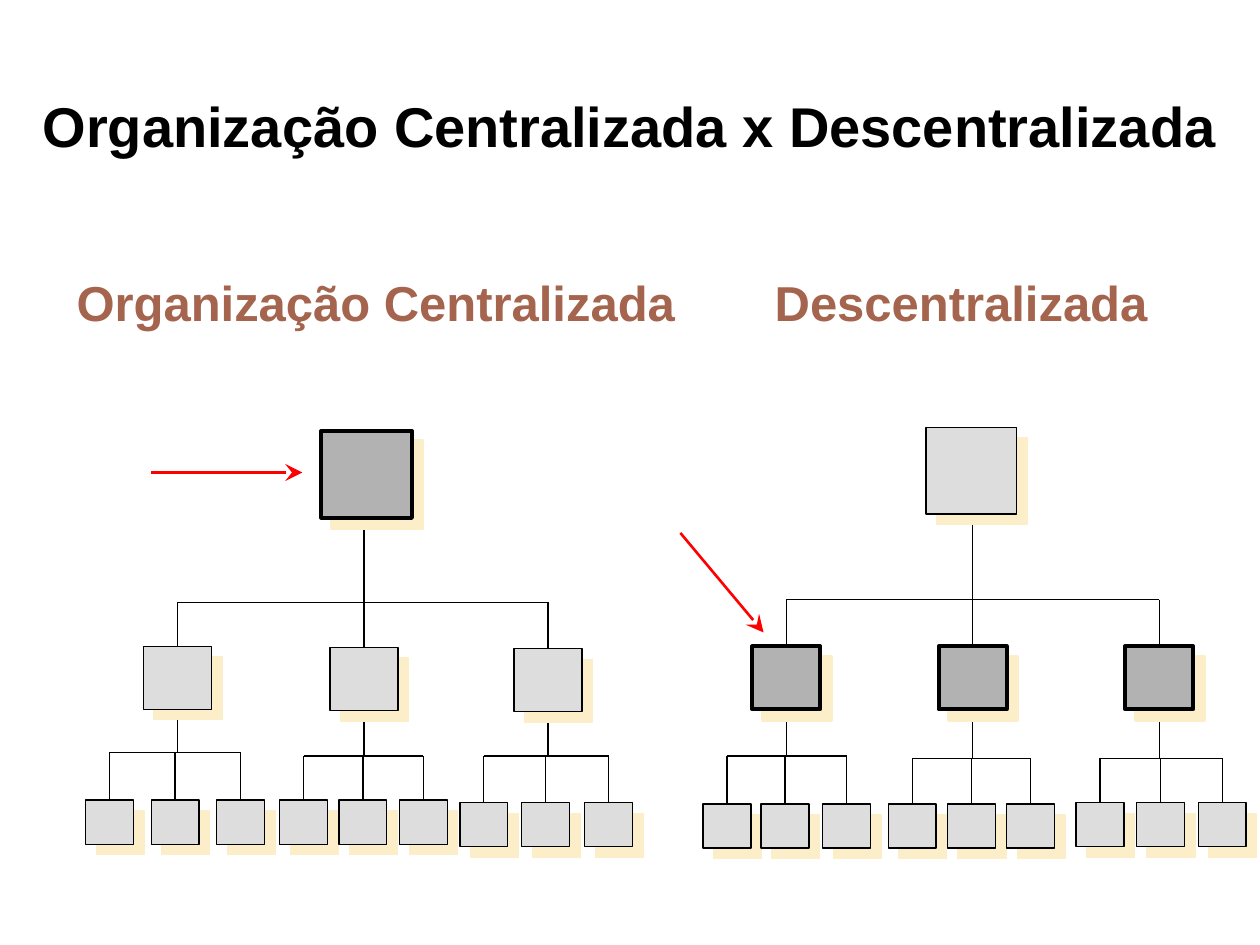
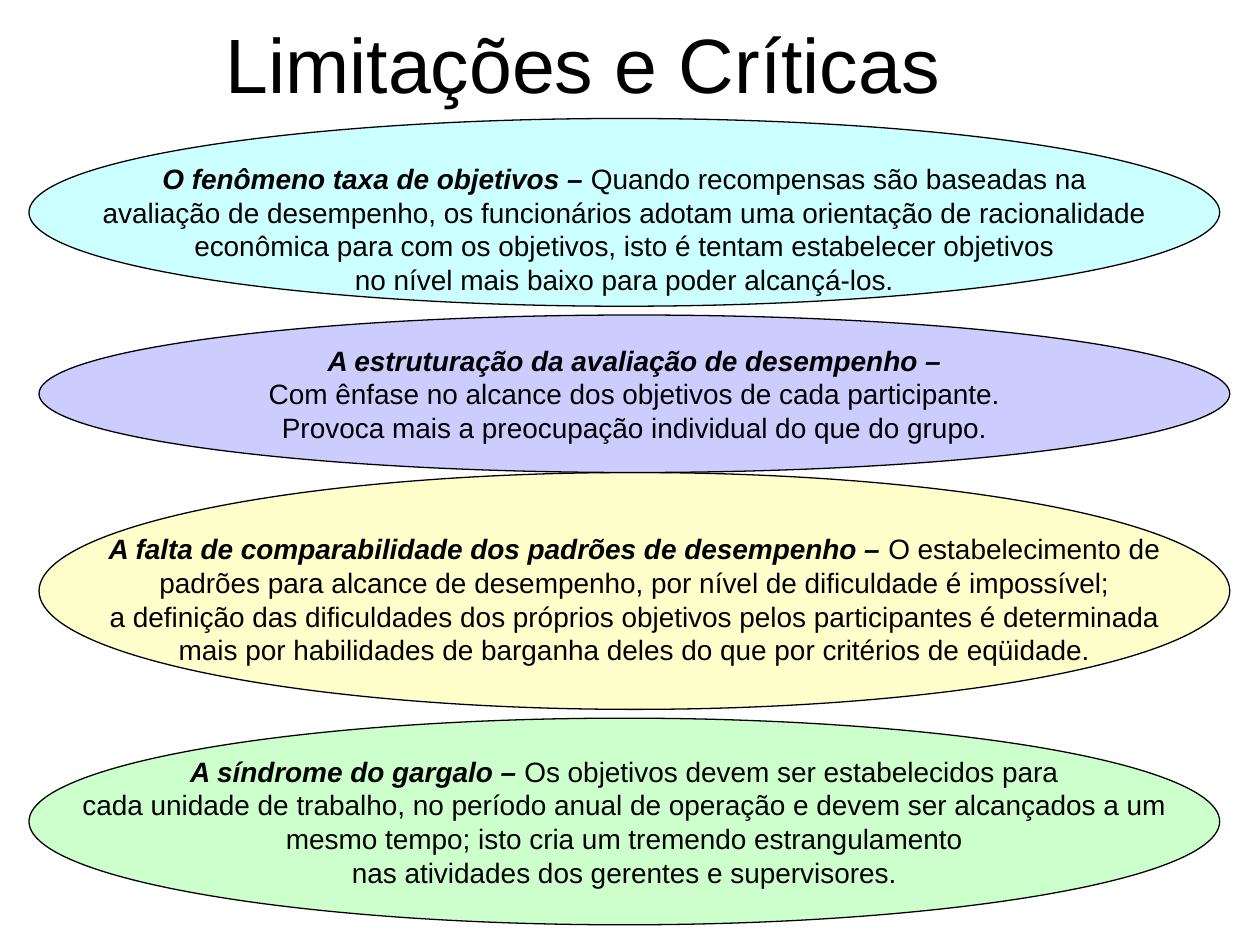
import pptx
import pptx.dml.color
import pptx.enum.shapes
import pptx.enum.text
import pptx.oxml
import pptx.oxml.ns
import pptx.util

COLUMNS, ROWS = 100, 75
BLACK, BROWN, RED = "000000", "A5644E", "FF0000"
LIGHT_GREY, DARK_GREY, CREAM = "DDDDDD", "B2B2B2", "FBEEC9"
ROOT_SIZE, NODE_SIZE, LEAF_SIZE = (7.2, 6.9), (5.4, 5), (3.8, 3.5)
SHADOW_DISTANCE = pptx.util.Pt(8.5)

# Each family: manager left and top, bar row, subordinate top, subordinate lefts.
CENTRALIZED = [
    ((11.4, 51.3), 59.7, 63.5, (6.8, 12, 17.2)),
    ((26.2, 51.4), 60, 63.5, (22.2, 26.9, 31.7)),
    ((40.8, 51.5), 60, 63.7, (36.5, 41.4, 46.4)),
]
DECENTRALIZED = [
    ((59.7, 51.3), 60, 63.8, (55.8, 60.4, 65.3)),
    ((74.5, 51.3), 60.2, 63.8, (70.5, 75.2, 79.9)),
    ((89.3, 51.3), 60.2, 63.7, (85.4, 90.2, 95.1)),
]

# Each critique: left, top, height, extra top inset, fill, lead, lines.
CRITIQUES = [
    (2.3, 9.4, 14.9, 2.6, "CCFFFF", "O fenômeno taxa de objetivos –", [
        " Quando recompensas são baseadas na",
        "avaliação de desempenho, os funcionários adotam uma orientação de racionalidade",
        "econômica para com os objetivos, isto é tentam estabelecer objetivos",
        "no nível mais baixo para poder alcançá-los."]),
    (2.3, 57, 16.4, 0, "CCFFCC", "A síndrome do gargalo –", [
        " Os objetivos devem ser estabelecidos para",
        "cada unidade de trabalho, no período anual de operação e devem ser alcançados a um",
        "mesmo tempo; isto cria um tremendo estrangulamento",
        "nas atividades dos gerentes e supervisores."]),
    (3.1, 37.5, 18.8, 1.3, "FFFFCC",
     "A falta de comparabilidade dos padrões de desempenho –", [
         " O estabelecimento de",
         "padrões para alcance de desempenho, por nível de dificuldade é impossível;",
         "a definição das dificuldades dos próprios objetivos pelos participantes é determinada",
         "mais por habilidades de barganha deles do que por critérios de eqüidade."]),
    (3.1, 25, 12.5, 0, "CCCCFF", "A estruturação da avaliação de desempenho –", [
        "",
        "Com ênfase no alcance dos objetivos de cada participante.",
        "Provoca mais a preocupação individual do que do grupo."]),
]


def color(value):
    return pptx.dml.color.RGBColor.from_string(value)


def add_xml(parent, tag, content="", **attributes):
    """Append a drawing element, with its children given as XML text."""
    listed = "".join(f' {key}="{value}"' for key, value in attributes.items())
    namespace = pptx.oxml.ns.nsdecls("a")
    parent.append(pptx.oxml.parse_xml(f"<a:{tag} {namespace}{listed}>{content}</a:{tag}>"))


class Deck:
    font = "Arial"

    def __init__(self):
        self.deck = pptx.Presentation()
        self.deck.slide_width = pptx.util.Inches(10)
        self.deck.slide_height = pptx.util.Inches(7.5)
        self.page = None

    def place(self, column, row):
        return (int(self.deck.slide_width * column / COLUMNS),
                int(self.deck.slide_height * row / ROWS))

    def style(self, paragraph, size, ink=BLACK, bold=False, align="LEFT"):
        paragraph.alignment = getattr(pptx.enum.text.PP_ALIGN, align)
        paragraph.font.name = self.font
        paragraph.font.size = pptx.util.Pt(size)
        paragraph.font.bold = bold
        paragraph.font.color.rgb = color(ink)

    def add_page(self, title, position, extent, size, **style):
        self.page = self.deck.slides.add_slide(self.deck.slide_layouts[5])
        box = self.page.shapes.title
        box.left, box.top = self.place(*position)
        box.width, box.height = self.place(*extent)
        frame = box.text_frame
        frame.text = title
        frame.word_wrap = True
        frame.auto_size = pptx.enum.text.MSO_AUTO_SIZE.NONE
        frame.vertical_anchor = pptx.enum.text.MSO_ANCHOR.TOP
        self.style(frame.paragraphs[0], size, **style)

    def add_headings(self, text, position, extent, tab):
        """Add one line of headings, the second one set at a tab stop."""
        box = self.page.shapes.add_textbox(*self.place(*position), *self.place(*extent))
        box.text_frame.word_wrap = True
        paragraph = box.text_frame.paragraphs[0]
        paragraph.text = text
        stop = f'<a:tab pos="{self.place(tab, 0)[0]}" algn="l"/>'
        add_xml(paragraph._p.get_or_add_pPr(), "tabLst", stop)
        self.style(paragraph, 28, BROWN, bold=True)

    def add_shape(self, kind, position, extent, fill, width=0.75):
        preset = getattr(pptx.enum.shapes.MSO_SHAPE, kind)
        shape = self.page.shapes.add_shape(
            preset, *self.place(*position), *self.place(*extent))
        shape.shadow.inherit = False
        shape.fill.solid()
        shape.fill.fore_color.rgb = color(fill)
        shape.line.color.rgb = color(BLACK)
        shape.line.width = pptx.util.Pt(width)
        return shape

    def add_unit(self, position, extent, decides=False):
        """Add one unit of the organization; those that decide stand out."""
        fill, width = (DARK_GREY, 2.25) if decides else (LIGHT_GREY, 0.75)
        shape = self.add_shape("RECTANGLE", position, extent, fill, width)
        effects = shape.element.spPr.find(pptx.oxml.ns.qn("a:effectLst"))
        add_xml(effects, "outerShdw", f'<a:srgbClr val="{CREAM}"/>',
                dist=int(SHADOW_DISTANCE), dir=45 * 60000, algn="ctr", rotWithShape=0)

    def add_line(self, start, end, ink=BLACK, width=0.75, arrow=False):
        line = self.page.shapes.add_connector(
            pptx.enum.shapes.MSO_CONNECTOR.STRAIGHT, *self.place(*start), *self.place(*end))
        line.line.color.rgb = color(ink)
        line.line.width = pptx.util.Pt(width)
        properties = line.element.spPr
        if arrow:
            add_xml(properties.find(pptx.oxml.ns.qn("a:ln")), "tailEnd",
                    type="stealth", w="lg", len="lg")
        add_xml(properties, "effectLst")

    def add_branch(self, trunk, bar, children):
        """Join the trunk's foot to each child's top through a level bar."""
        self.add_line(trunk, (trunk[0], bar))
        self.add_line((children[0][0], bar), (children[-1][0], bar))
        for column, top in children:
            self.add_line((column, bar), (column, top))

    def add_tree(self, root, bar, families, root_decides):
        managers = []
        for (left, top), family_bar, leaf_top, leaf_lefts in families:
            for leaf_left in leaf_lefts:
                self.add_unit((leaf_left, leaf_top), LEAF_SIZE)
            center = left + NODE_SIZE[0] / 2
            leaves = [(leaf + LEAF_SIZE[0] / 2, leaf_top) for leaf in leaf_lefts]
            self.add_branch((center, top + NODE_SIZE[1]), family_bar, leaves)
            self.add_unit((left, top), NODE_SIZE, not root_decides)
            managers.append((center, top))
        self.add_branch((managers[1][0], root[1] + ROOT_SIZE[1]), bar, managers)
        self.add_unit(root, ROOT_SIZE, root_decides)

    def add_arrow(self, start, end):
        self.add_line(start, end, RED, 1.5, arrow=True)

    def add_critique(self, left, top, height, inset, fill, lead, lines):
        shape = self.add_shape("OVAL", (left, top), (94.5, height), fill)
        frame = shape.text_frame
        frame.word_wrap = False
        frame.vertical_anchor = pptx.enum.text.MSO_ANCHOR.MIDDLE
        frame.margin_top = self.place(0, 0.5 + inset)[1]
        for index, line in enumerate(lines):
            paragraph = frame.add_paragraph() if index else frame.paragraphs[0]
            self.style(paragraph, 16, align="CENTER")
            if index == 0:
                span = paragraph.add_run()
                span.text = lead
                span.font.bold = span.font.italic = True
            if line:
                paragraph.add_run().text = line


def main():
    show = Deck()
    show.add_page("Organização Centralizada x Descentralizada", (0, 6.8), (100, 6.4),
                  32, bold=True, align="CENTER")
    show.add_headings("Organização Centralizada\tDescentralizada",
                      (5.1, 21.1), (94.9, 5.7), tab=55.4)
    show.add_tree((25.5, 34.2), 47.8, CENTRALIZED, root_decides=True)
    show.add_tree((73.5, 33.9), 47.6, DECENTRALIZED, root_decides=False)
    show.add_arrow((12, 37.5), (24, 37.5))
    show.add_arrow((54, 42.3), (60.6, 50.2))

    show.add_page("Limitações e Críticas", (16.9, 0.8), (62, 8.4), 44)
    for critique in CRITIQUES:
        show.add_critique(*critique)
    show.deck.save("out.pptx")


if __name__ == "__main__":
    main()
